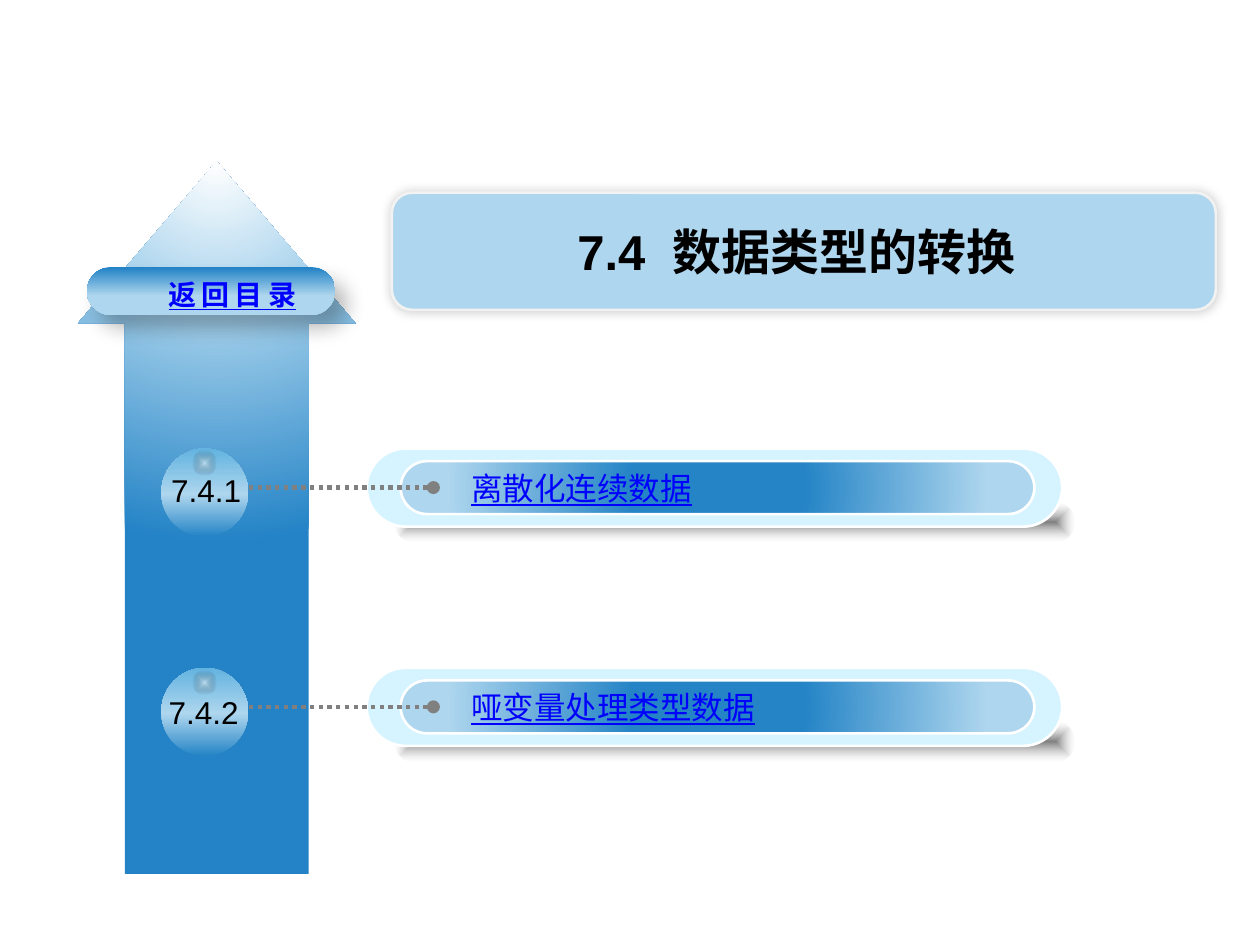
from lxml import etree
from pptx import Presentation
from pptx.dml.color import RGBColor
from pptx.enum import dml, shapes, text
from pptx.oxml.ns import qn
from pptx.util import Inches, Pt

CJK = "Noto Sans CJK SC"
SHAPE = shapes.MSO_SHAPE
CENTER = [50, 50, 50, 50]
GLOW_END = (100, "000000", 0)
# Number, caption, top of the row, left and top of the number
ROWS = [
    ("7.4.1", "离散化连续数据", 3.56, 1.26, 3.69),
    ("7.4.2", "哑变量处理类型数据", 5.3, 1.24, 5.45),
]


def rgb(value):
    return RGBColor.from_string(value)


def sub(parent, tag, **attrs):
    return etree.SubElement(parent, qn(tag), {k: str(v) for k, v in attrs.items()})


def add_color(parent, color, opacity=100):
    clr = sub(parent, "a:srgbClr", val=color)
    if opacity < 100:
        sub(clr, "a:alpha", val=opacity * 1000)


def set_gradient(sp, stops, angle=None, path_type="circle", focus=CENTER):
    """Fill with (position, colour[, opacity]) stops, linear if an angle is given."""
    sp.fill.solid()
    solid = sp._element.spPr.find(qn("a:solidFill"))
    grad = etree.Element(qn("a:gradFill"), rotWithShape="1")
    stop_list = sub(grad, "a:gsLst")
    for position, *color in stops:
        add_color(sub(stop_list, "a:gs", pos=position * 1000), *color)
    if angle is None:
        sides = {side: value * 1000 for side, value in zip("ltrb", focus)}
        sub(sub(grad, "a:path", path=path_type), "a:fillToRect", **sides)
    else:
        sub(grad, "a:lin", ang=angle * 60000, scaled=0)
    solid.getparent().replace(solid, grad)


def set_shadow(sp, opacity, blur, dist, angle):
    effects = sp._element.spPr.find(qn("a:effectLst"))
    shadow = sub(effects, "a:outerShdw", blurRad=int(Pt(blur)), dist=int(Pt(dist)),
                 dir=angle * 60000, algn="ctr", rotWithShape=0)
    add_color(shadow, "000000", opacity)


def add_shape(parent, kind, box, adj=(), fill=None, line=None):
    sp = parent.shapes.add_shape(kind, *map(Inches, box))
    sp.shadow.inherit = False
    for i, value in enumerate(adj):
        sp.adjustments[i] = value
    if fill:
        sp.fill.solid()
        sp.fill.fore_color.rgb = rgb(fill)
    if line:
        sp.line.color.rgb = rgb(line)
        sp.line.width = Pt(1.5)
    else:
        sp.line.fill.background()
    return sp


def add_text(slide, box, content, color="000000", align=None, wrap=True,
             spacing=None, **font):
    tf = slide.shapes.add_textbox(*map(Inches, box)).text_frame
    tf.word_wrap = wrap
    tf.auto_size = text.MSO_AUTO_SIZE.SHAPE_TO_FIT_TEXT
    p = tf.paragraphs[0]
    p.alignment = align
    r = p.add_run()
    r.text = content
    for name, value in font.items():
        setattr(r.font, name, value)
    r.font.color.rgb = rgb(color)
    r_pr = r._r.get_or_add_rPr()
    if spacing:
        r_pr.set("spc", str(spacing * 100))
    sub(r_pr, "a:ea", typeface=CJK)


def add_dotted_line(parent, x1, x2, y):
    line = parent.shapes.add_connector(
        shapes.MSO_CONNECTOR.STRAIGHT, Inches(x1), Inches(y), Inches(x2), Inches(y))
    line.line.color.rgb = rgb("808080")
    line.line.width = Pt(2.5)
    line.line.dash_style = dml.MSO_LINE.ROUND_DOT
    sub(line.line._get_or_add_ln(), "a:headEnd", type="oval")
    sub(line._element.spPr, "a:effectLst")


def add_row(slide, top):
    group = slide.shapes.add_group_shape()
    pill = SHAPE.ROUNDED_RECTANGLE
    shade = add_shape(group, pill, (3.13, top + 0.43, 5.4, 0.31), [0.5])
    set_gradient(shade, [(0, "000000", 50), (100, "B0B0B0", 0)], path_type="shape")
    add_shape(group, pill, (2.91, top, 5.52, 0.62), [0.5], "D5F4FF", "FFFFFF")
    bar = add_shape(group, pill, (3.18, top + 0.1, 5.03, 0.42), [0.5], line="FFFFFF")
    set_gradient(bar, [(27, "2484C6"), (85, "AED6EE")])
    add_dotted_line(group, 3.44, 1.8, top + 0.31)
    ball = add_shape(group, SHAPE.OVAL, (1.28, top, 0.69, 0.7))
    set_gradient(ball, [(0, "2484C6"), (48, "AED6EE"), (100, "62B3E0")], angle=270)
    glow = add_shape(group, SHAPE.OVAL, (1.53, top + 0.02, 0.19, 0.19))
    set_gradient(glow, [(0, "FFFFFF", 50), GLOW_END], path_type="shape")


def add_row_text(slide, number, caption, top, number_left, number_top):
    add_text(slide, (number_left, number_top, 0.87, 0.4), number,
             name="Arial", size=Pt(18))
    add_text(slide, (3.64, top + 0.11, 4.38, 0.4), caption, "0000FF",
             name=CJK, size=Pt(18), underline=True)


def add_arrow(slide):
    arrow = add_shape(slide, SHAPE.UP_ARROW, (0.62, 1.28, 2.2, 5.66), [0.663, 0.584])
    set_gradient(arrow, [(0, "FFFFFF"), (35, "AED6EE"), (100, "2383C6")],
                 focus=[50, -80, 50, 180])


def add_title(slide):
    panel = add_shape(slide, SHAPE.ROUNDED_RECTANGLE, (3.11, 1.53, 6.54, 0.93),
                      [0.174], "AED6EE", "F2F2F2")
    set_shadow(panel, 20, 6, 0, 225)
    add_text(slide, (3.11, 1.71, 6.42, 0.57), "7.4  数据类型的转换",
             align=text.PP_ALIGN.CENTER, name="Arial", size=Pt(28), bold=True)


def add_contents_button(slide):
    button = add_shape(slide, SHAPE.ROUNDED_RECTANGLE, (0.69, 2.12, 1.97, 0.38), [0.5])
    set_gradient(button, [(1, "2383C6"), (60, "AED6EE")], angle=90)
    set_shadow(button, 28, 11.8, 10, 48)
    add_text(slide, (1.21, 2.15, 1.27, 0.37), "返回目录", "0000FF",
             text.PP_ALIGN.CENTER, wrap=False, spacing=3,
             name=CJK, size=Pt(16), bold=True, underline=True)


def main():
    prs = Presentation()
    prs.slide_width, prs.slide_height = Inches(10), Inches(7.5)
    slide = prs.slides.add_slide(prs.slide_layouts[6])
    add_arrow(slide)
    add_title(slide)
    for row in ROWS:
        add_row(slide, row[2])
        add_row_text(slide, *row)
    add_contents_button(slide)
    prs.save("out.pptx")


if __name__ == "__main__":
    main()
